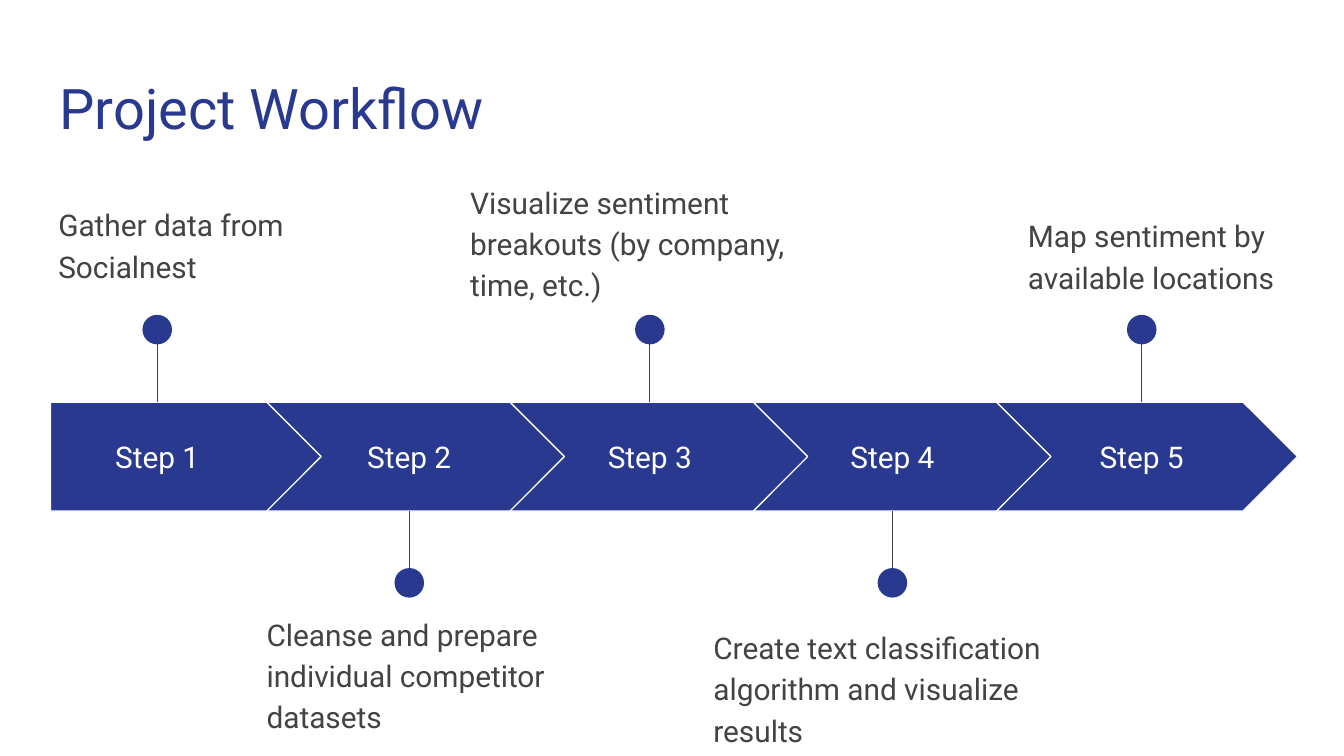
from dataclasses import dataclass

from lxml import etree
from pptx import Presentation
from pptx import util as u
from pptx.dml.color import RGBColor
from pptx.enum import shapes, text
from pptx.oxml import ns


@dataclass(frozen=True)
class Theme:
    font: str = "Roboto"
    blue: RGBColor = RGBColor(0x2A, 0x39, 0x90)
    grey: RGBColor = RGBColor(0x43, 0x43, 0x43)
    white: RGBColor = RGBColor(0xFF, 0xFF, 0xFF)
    title_size: int = 30
    body_size: int = 16
    line_width: float = 0.75
    inset: float = 0.1
    note_spacing: float = 1.15


@dataclass(frozen=True)
class Box:
    column: float
    row: float
    columns: float
    rows: float

    def lengths(self) -> tuple[int, int, int, int]:
        return (across(self.column), down(self.row),
                across(self.columns), down(self.rows))


@dataclass(frozen=True)
class Step:
    center: float
    note: str
    note_box: Box


THEME = Theme()
WIDTH = u.Inches(10)
HEIGHT = u.Emu(WIDTH * 9 // 16)
BAND_LEFT, BAND_TOP, BAND_ROWS = 3.75, 53.2, 14.4
FIRST_COLUMNS, CHEVRON_COLUMNS, STEP_PITCH = 20.5, 22.4, 18.1
CHEVRON_LEFT = 19.85
LABEL_COLUMNS, LABEL_ROW, LABEL_ROWS = 14.4, 55.9, 9.07
NOTE_ROWS = 17.6
DOT_COLUMNS = 2.2
DOT_ROW_ABOVE, DOT_ROW_BELOW = 43.6, 77.1

STEPS = (
    Step(11.7, "Gather data from Socialnest", Box(3.35, 24.9, 24.5, NOTE_ROWS)),
    Step(30.45, "Cleanse and prepare individual competitor datasets",
         Box(18.85, 79.1, 24.5, NOTE_ROWS)),
    Step(48.35, "Visualize sentiment breakouts (by company, time, etc.)",
         Box(34, 21.9, 28.9, NOTE_ROWS)),
    Step(66.4, "Create text classification algorithm and visualize results",
         Box(52.1, 80.85, 29.4, NOTE_ROWS)),
    Step(84.95, "Map sentiment by available locations",
         Box(75.5, 26.35, 24.5, NOTE_ROWS)),
)


def across(columns: float) -> int:
    return round(WIDTH * columns / 100)


def down(rows: float) -> int:
    return round(HEIGHT * rows / 100)


def add_text(slide, box: Box, words: str, size: int, color: RGBColor,
             align=text.PP_ALIGN.LEFT, anchor=text.MSO_ANCHOR.TOP,
             spacing: float = 1.0) -> None:
    frame = slide.shapes.add_textbox(*box.lengths()).text_frame
    frame.word_wrap = True
    frame.vertical_anchor = anchor
    frame.margin_left = frame.margin_right = u.Inches(THEME.inset)
    frame.margin_top = frame.margin_bottom = u.Inches(THEME.inset)
    paragraph = frame.paragraphs[0]
    paragraph.alignment = align
    paragraph.line_spacing = spacing
    run = paragraph.add_run()
    run.text = words
    run.font.name = THEME.font
    run.font.size = u.Pt(size)
    run.font.color.rgb = color


def add_arrow(slide, index: int) -> None:
    if index == 0:
        kind = shapes.MSO_SHAPE.PENTAGON
        left, columns = BAND_LEFT, FIRST_COLUMNS
    else:
        kind = shapes.MSO_SHAPE.CHEVRON
        left, columns = CHEVRON_LEFT + (index - 1) * STEP_PITCH, CHEVRON_COLUMNS
    box = Box(left, BAND_TOP, columns, BAND_ROWS)
    shape = slide.shapes.add_shape(kind, *box.lengths())
    shape.adjustments[0] = 0.5
    shape.shadow.inherit = False
    shape.fill.solid()
    shape.fill.fore_color.rgb = THEME.blue
    shape.line.color.rgb = THEME.white
    shape.line.width = u.Pt(THEME.line_width)


def add_pin(slide, center: float, above: bool) -> None:
    group = slide.shapes.add_group_shape()
    dot_row = DOT_ROW_ABOVE if above else DOT_ROW_BELOW
    band_row = BAND_TOP if above else BAND_TOP + BAND_ROWS
    stem = group.shapes.add_connector(
        shapes.MSO_CONNECTOR.STRAIGHT,
        across(center), down(dot_row), across(center), down(band_row))
    stem.line.color.rgb = THEME.grey
    stem.line.width = u.Pt(THEME.line_width)
    etree.SubElement(stem._element.spPr, ns.qn("a:effectLst"))

    diameter = across(DOT_COLUMNS)
    dot = group.shapes.add_shape(
        shapes.MSO_SHAPE.OVAL, across(center) - diameter // 2,
        down(dot_row) - diameter // 2, diameter, diameter)
    dot.shadow.inherit = False
    dot.fill.solid()
    dot.fill.fore_color.rgb = THEME.blue
    dot.line.fill.background()


def add_step(slide, index: int, step: Step) -> None:
    add_arrow(slide, index)
    label_box = Box(step.center - LABEL_COLUMNS / 2, LABEL_ROW,
                    LABEL_COLUMNS, LABEL_ROWS)
    add_text(slide, label_box, f"Step {index + 1}", THEME.body_size,
             THEME.white, text.PP_ALIGN.CENTER, text.MSO_ANCHOR.MIDDLE)
    add_pin(slide, step.center, above=index % 2 == 0)
    add_text(slide, step.note_box, step.note, THEME.body_size, THEME.grey,
             spacing=THEME.note_spacing)


def main() -> None:
    presentation = Presentation()
    presentation.slide_width, presentation.slide_height = WIDTH, HEIGHT
    slide = presentation.slides.add_slide(presentation.slide_layouts[6])
    add_text(slide, Box(3.45, 8, 93.2, 11.7), "Project Workflow",
             THEME.title_size, THEME.blue)
    for index, step in enumerate(STEPS):
        add_step(slide, index, step)
    presentation.save("out.pptx")


if __name__ == "__main__":
    main()
